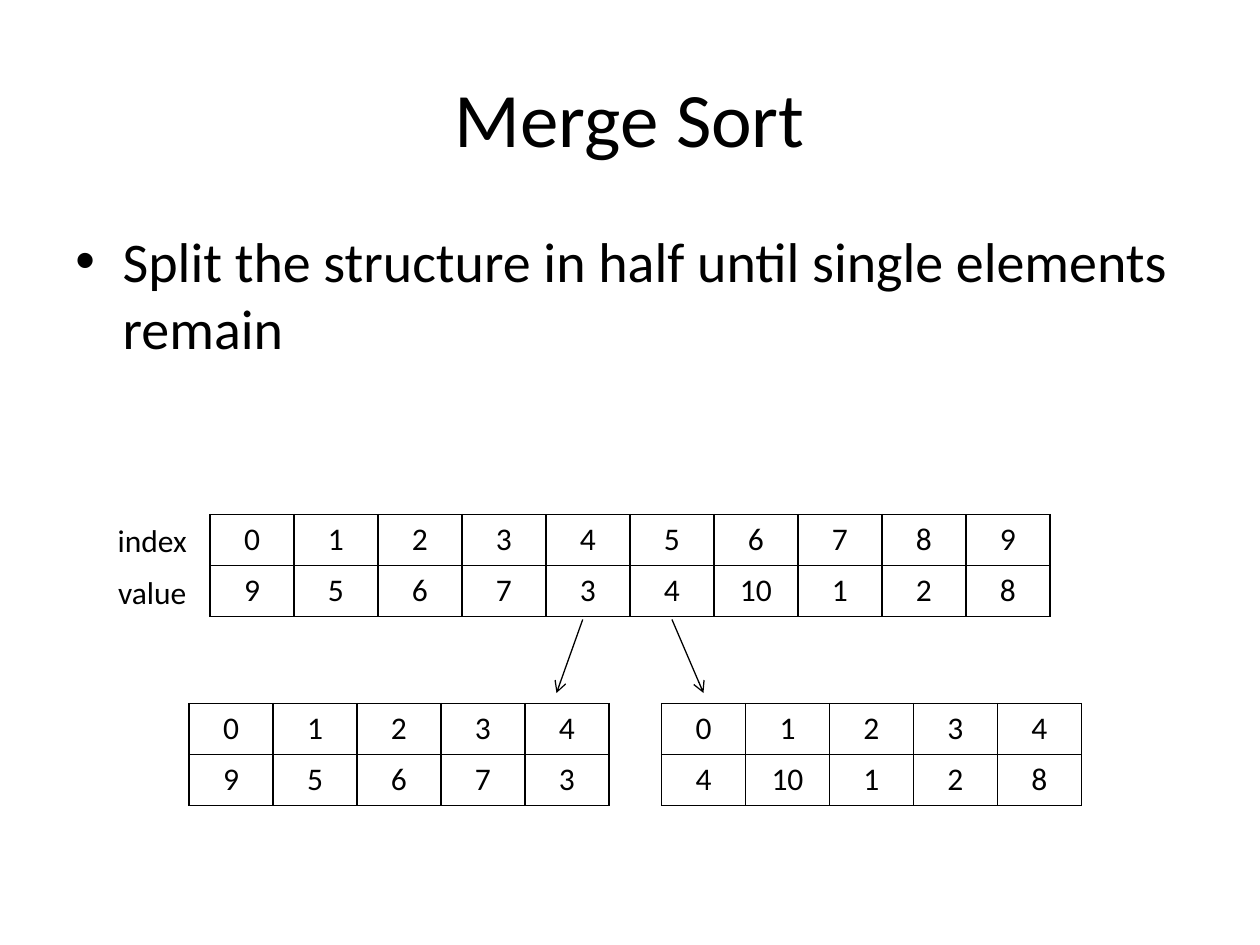
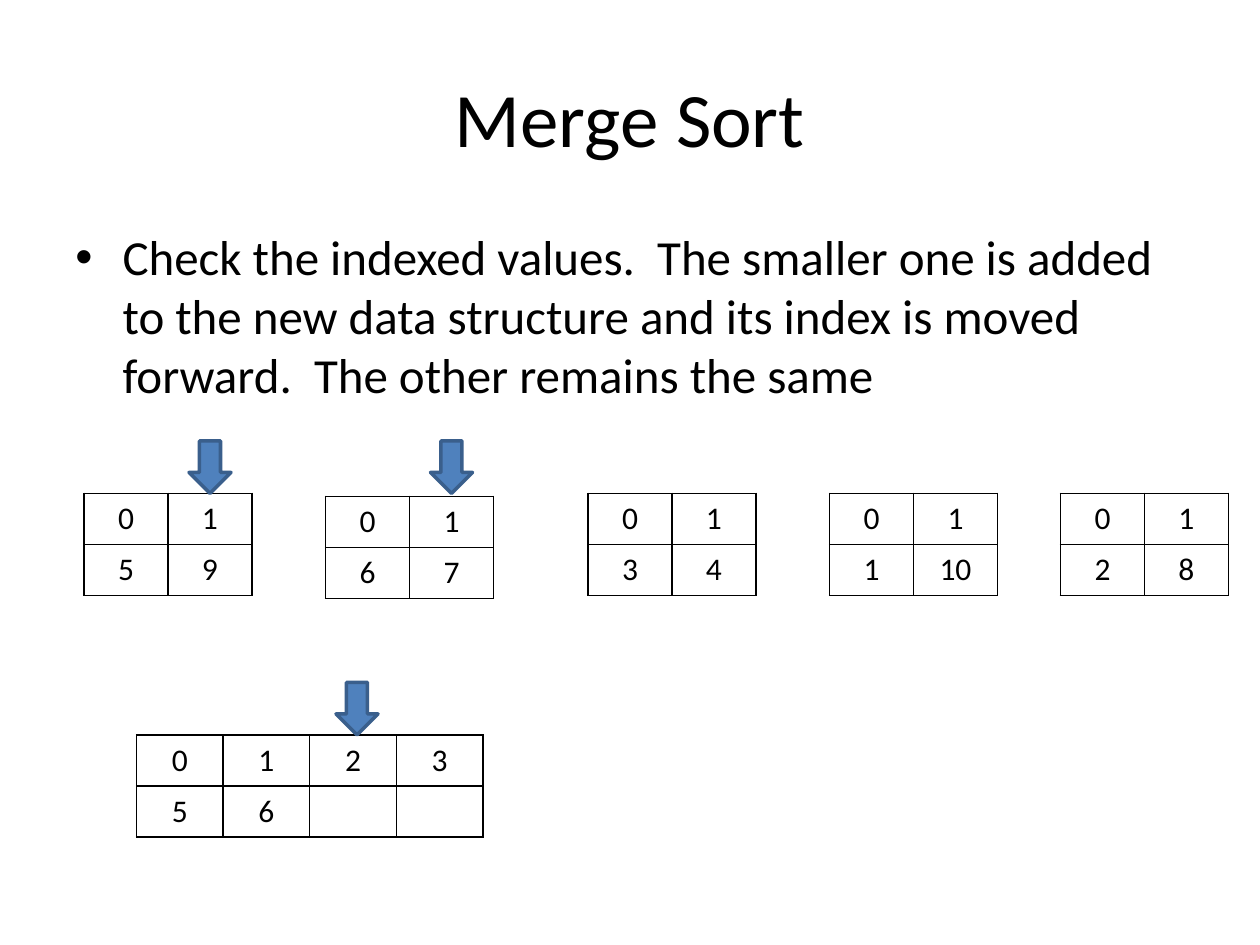
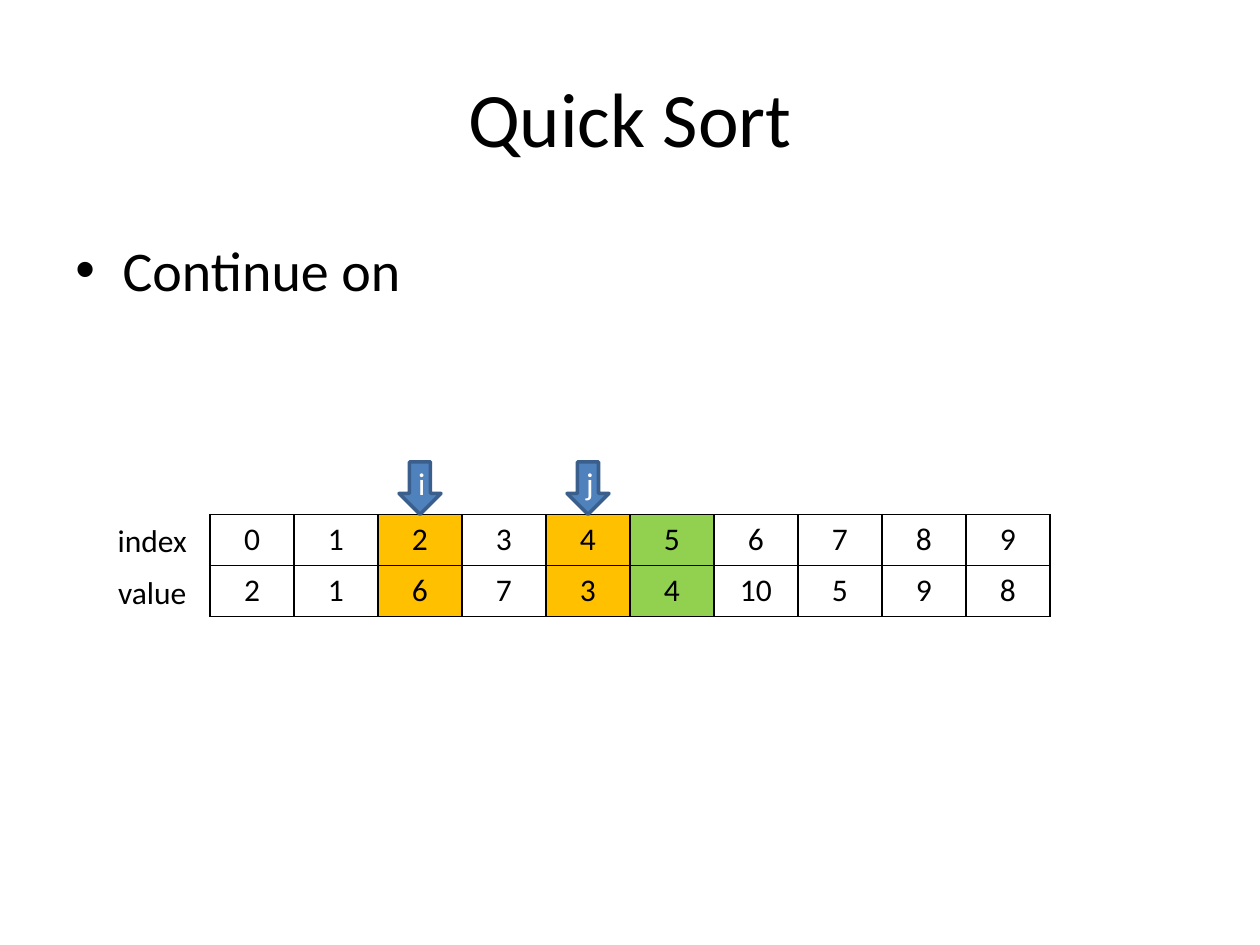
from dataclasses import dataclass, field

import pptx
import pptx.dml.color
import pptx.enum.shapes
import pptx.enum.text
import pptx.oxml
import pptx.oxml.ns
import pptx.util

Pt = pptx.util.Pt
RGBColor = pptx.dml.color.RGBColor
PP_ALIGN = pptx.enum.text.PP_ALIGN
ANCHOR = pptx.enum.text.MSO_ANCHOR

BLACK = RGBColor(0x00, 0x00, 0x00)
WHITE = RGBColor(0xFF, 0xFF, 0xFF)
BLUE = RGBColor(0x4F, 0x81, 0xBD)
DARK_BLUE = RGBColor(0x3A, 0x5F, 0x8C)
AMBER = RGBColor(0xFF, 0xC0, 0x00)
GREEN = RGBColor(0x92, 0xD0, 0x50)

FONT = "Calibri"
CELL_W = 48
ROW_H = 29.2
POINTER_W, POINTER_H = 24, 30
ARRAY_LEFT, ARRAY_TOP = 120, 294


@dataclass
class Array:
    """A list of values shown below its indices; fills colours columns by index."""
    left: float
    top: float
    values: list[str]
    cell_w: float = CELL_W
    fills: dict[int, RGBColor] = field(default_factory=dict)


@dataclass
class Pointer:
    """A down arrow whose tip is at (x, y)."""
    x: float
    y: float
    label: str = ""


@dataclass
class SplitArrow:
    x1: float
    y1: float
    x2: float
    y2: float


def add_run(p, text: str, size: float, color: RGBColor = BLACK) -> None:
    r = p.add_run()
    r.text = text
    r.font.name = FONT
    r.font.size = Pt(size)
    r.font.color.rgb = color


def add_text_box(slide, left: float, top: float, width: float, height: float):
    tf = slide.shapes.add_textbox(Pt(left), Pt(top), Pt(width), Pt(height)).text_frame
    tf.word_wrap = True
    return tf


def add_xml(parent, xml: str) -> None:
    ns = pptx.oxml.ns.nsdecls("a")
    parent.append(pptx.oxml.parse_xml(xml.replace(" ", f" {ns} ", 1)))


def add_slide(prs, title: str, bullet: str, size: float = 32, body_top: float = 126):
    slide = prs.slides.add_slide(prs.slide_layouts[6])
    tf = add_text_box(slide, 36, 21.6, 648, 90)
    tf.vertical_anchor = ANCHOR.MIDDLE
    p = tf.paragraphs[0]
    p.alignment = PP_ALIGN.CENTER
    add_run(p, title, 44)

    p = add_text_box(slide, 36, body_top, 648, 356.4).paragraphs[0]
    pPr = p._p.get_or_add_pPr()
    pPr.set("marL", str(Pt(27)))
    pPr.set("indent", str(-Pt(27)))
    add_xml(pPr, '<a:buFont typeface="Arial"/>')
    add_xml(pPr, '<a:buChar char="•"/>')
    add_run(p, bullet, size)
    return slide


def style_cell(cell, text: str, fill: RGBColor) -> None:
    tcPr = cell._tc.get_or_add_tcPr()
    for side in "LRTB":
        add_xml(tcPr, f'<a:ln{side} w="{Pt(1)}"><a:solidFill>'
                      f'<a:srgbClr val="{BLACK}"/></a:solidFill></a:ln{side}>')
    cell.fill.solid()
    cell.fill.fore_color.rgb = fill
    p = cell.text_frame.paragraphs[0]
    p.alignment = PP_ALIGN.CENTER
    if text:
        add_run(p, text, 18)


def draw_array(slide, array: Array) -> None:
    n = len(array.values)
    table = slide.shapes.add_table(2, n, Pt(array.left), Pt(array.top),
                                   Pt(n * array.cell_w), Pt(2 * ROW_H)).table
    table.first_row = table.horz_banding = False
    for row in table.rows:
        row.height = Pt(ROW_H)
    for i, value in enumerate(array.values):
        table.columns[i].width = Pt(array.cell_w)
        fill = array.fills.get(i, WHITE)
        style_cell(table.cell(0, i), str(i), fill)
        style_cell(table.cell(1, i), value, fill)


def draw_labelled_array(slide, array: Array) -> None:
    draw_array(slide, array)
    for row, label in enumerate(("index", "value")):
        tf = add_text_box(slide, array.left - 66, array.top + 30 * row, 66, 30)
        p = tf.paragraphs[0]
        p.alignment = PP_ALIGN.CENTER
        add_run(p, label, 18)


def draw_pointer(slide, pointer: Pointer) -> None:
    sp = slide.shapes.add_shape(
        pptx.enum.shapes.MSO_SHAPE.DOWN_ARROW,
        Pt(pointer.x - POINTER_W / 2), Pt(pointer.y - POINTER_H),
        Pt(POINTER_W), Pt(POINTER_H))
    sp.shadow.inherit = False
    sp.fill.solid()
    sp.fill.fore_color.rgb = BLUE
    sp.line.color.rgb = DARK_BLUE
    sp.line.width = Pt(2)
    if pointer.label:
        tf = sp.text_frame
        tf.vertical_anchor = ANCHOR.MIDDLE
        p = tf.paragraphs[0]
        p.alignment = PP_ALIGN.CENTER
        add_run(p, pointer.label, 18, WHITE)


def draw_split_arrow(slide, arrow: SplitArrow) -> None:
    line = slide.shapes.add_connector(
        pptx.enum.shapes.MSO_CONNECTOR.STRAIGHT,
        Pt(arrow.x1), Pt(arrow.y1), Pt(arrow.x2), Pt(arrow.y2))
    line.line.color.rgb = BLACK
    line.line.width = Pt(0.75)
    add_xml(line.line._get_or_add_ln(), '<a:tailEnd type="arrow"/>')
    add_xml(line._element.spPr, '<a:effectLst />')


def build_split_slide(prs) -> None:
    slide = add_slide(prs, "Merge Sort",
                      "Split the structure in half until single elements remain")
    values = "9 5 6 7 3 4 10 1 2 8".split()
    half = len(values) // 2
    draw_labelled_array(slide, Array(ARRAY_LEFT, ARRAY_TOP, values))
    draw_array(slide, Array(108, 402, values[:half]))
    draw_array(slide, Array(378, 402, values[half:]))
    draw_split_arrow(slide, SplitArrow(333, 354, 318, 396))
    draw_split_arrow(slide, SplitArrow(384, 354, 402, 396))


def build_merge_slide(prs) -> None:
    slide = add_slide(
        prs, "Merge Sort",
        "Check the indexed values.  The smaller one is added to the new data "
        "structure and its index is moved forward.  The other remains the same",
        size=28)
    arrays = [
        Array(48, 282, ["5", "9"]),
        Array(186, 283.7, ["6", "7"]),
        Array(336, 282, ["3", "4"]),
        Array(474, 282, ["1", "10"]),
        Array(606, 282, ["2", "8"]),
        Array(78, 420, ["5", "6", "", ""], cell_w=49.5),
    ]
    for array in arrays:
        draw_array(slide, array)
    for array in arrays[:2]:
        draw_pointer(slide, Pointer(array.left + 1.5 * CELL_W, 282))
    draw_pointer(slide, Pointer(204, 420))


def build_quick_sort_slide(prs) -> None:
    slide = add_slide(prs, "Quick Sort", "Continue on", body_top=131)
    pointers = {2: "i", 4: "j"}
    pivot = 5
    fills = {i: AMBER for i in pointers} | {pivot: GREEN}
    draw_labelled_array(slide, Array(ARRAY_LEFT, ARRAY_TOP,
                                     "2 1 6 7 3 4 10 5 9 8".split(), fills=fills))
    for i, label in pointers.items():
        draw_pointer(slide, Pointer(ARRAY_LEFT + (i + 0.5) * CELL_W, ARRAY_TOP, label))


def main() -> None:
    prs = pptx.Presentation()
    prs.slide_width, prs.slide_height = Pt(720), Pt(540)
    build_split_slide(prs)
    build_merge_slide(prs)
    build_quick_sort_slide(prs)
    prs.save("out.pptx")


if __name__ == "__main__":
    main()
